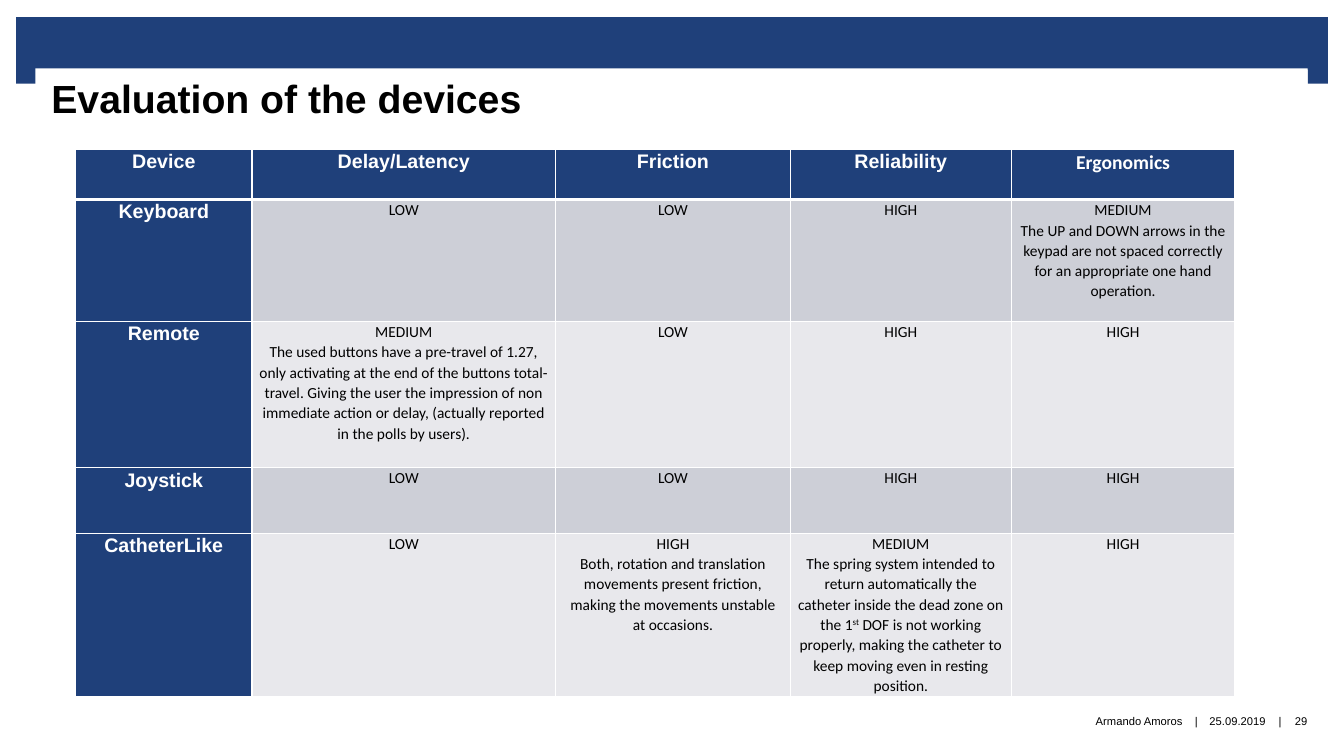
"""Build the slide that compares the input devices in a table."""
from lxml.etree import SubElement
from pptx import Presentation
from pptx.dml.color import RGBColor
from pptx.enum.shapes import MSO_SHAPE as Shape
from pptx.enum.text import MSO_ANCHOR as Anchor, PP_ALIGN as Align
from pptx.oxml.ns import qn
from pptx.util import Pt

PX = 9144
NAVY = RGBColor(0x1F, 0x40, 0x7A)
WHITE = RGBColor(0xFF, 0xFF, 0xFF)
BLACK = RGBColor(0, 0, 0)
BANDS = RGBColor(0xE8, 0xE8, 0xEC), RGBColor(0xCD, 0xCF, 0xD7)


def add_run(paragraph, text, size, font, color, bold=False):
    run = paragraph.add_run()
    run.text = text
    run.font.size, run.font.name = Pt(size), font
    run.font.color.rgb, run.font.bold = color, bold
    return run


def add_text(box, text, size, align, anchor, insets=(0, 0, 0, 0), bold=False):
    label = slide.shapes.add_textbox(*(n * PX for n in box))
    frame = label.text_frame
    frame.word_wrap, frame.vertical_anchor = True, anchor
    (frame.margin_left, frame.margin_top,
     frame.margin_right, frame.margin_bottom) = (n * PX for n in insets)
    frame.paragraphs[0].alignment = align
    add_run(frame.paragraphs[0], text, size, "Arial", BLACK, bold)
    return label


prs = Presentation()
prs.slide_width, prs.slide_height = 1333 * PX, 750 * PX
slide = prs.slides.add_slide(prs.slide_layouts[6])

for box in ((16, 17, 1301, 52), (16, 65, 20, 18), (1297, 65, 20, 18)):
    banner = slide.shapes.add_shape(Shape.RECTANGLE, *(n * PX for n in box))
    banner.shadow.inherit = False
    banner.fill.solid()
    banner.fill.fore_color.rgb = NAVY
    banner.line.fill.background()

title = add_text((35, 68, 1262, 106), "Evaluation of the devices", 28,
                 Align.LEFT, Anchor.TOP, (16, 6, 16, 0), True)
title.fill.solid()
title.fill.fore_color.rgb = WHITE

for left, width, text, align in (
    (666, 507, "Armando Amoros", Align.RIGHT),
    (1179, 15, "|", Align.CENTER),
    (1194, 67, "25.09.2019", Align.CENTER),
    (1262, 15, "|", Align.CENTER),
    (1271, 39, "29", Align.CENTER),
):
    add_text((left, 690, width, 50), text, 8, align, Anchor.MIDDLE)

KEYPAD = ("The UP and DOWN arrows in the keypad are not spaced correctly "
          "for an appropriate one hand operation.")
BUTTONS = ("The used buttons have a pre-travel of 1.27, only activating at the "
           "end of the buttons total-travel. Giving the user the impression of "
           "non immediate action or delay, (actually reported in the polls by "
           "users).")
MOVEMENT = ("Both, rotation and translation movements present friction, "
            "making the movements unstable at occasions.")
SPRING = ("The spring system intended to return automatically the catheter "
          "inside the dead zone on the 1^st^ DOF is not working properly, "
          "making the catheter to keep moving even in resting position.")
ratings = [
    ["Device", "Delay/Latency", "Friction", "Reliability", "Ergonomics"],
    ["Keyboard", "LOW", "LOW", "HIGH", "MEDIUM\n" + KEYPAD],
    ["Remote", "MEDIUM\n" + BUTTONS, "LOW", "HIGH", "HIGH"],
    ["Joystick", "LOW", "LOW", "HIGH", "HIGH"],
    ["CatheterLike", "LOW", "HIGH\n" + MOVEMENT, "MEDIUM\n" + SPRING, "HIGH"],
]
col_widths = [175, 301, 233, 219, 222]
row_heights = [50, 121, 145, 65, 162]
table = slide.shapes.add_table(
    len(row_heights), len(col_widths), 75 * PX, 148 * PX,
    sum(col_widths) * PX, sum(row_heights) * PX).table
table.horz_banding = False
for column, width in zip(table.columns, col_widths):
    column.width = width * PX
for row, height in zip(table.rows, row_heights):
    row.height = height * PX

for r, row_texts in enumerate(ratings):
    for c, cell_text in enumerate(row_texts):
        cell = table.cell(r, c)
        is_heading = r == 0 or c == 0
        cell.margin_left = cell.margin_right = 7 * PX
        cell.margin_top = cell.margin_bottom = 0

        for side in ("lnL", "lnR", "lnT", "lnB"):
            under_header = (r, side) in ((0, "lnB"), (1, "lnT"))
            border = SubElement(cell._tc.get_or_add_tcPr(), qn("a:" + side),
                                w=str(Pt(3 if under_header else 1)))
            stroke = SubElement(border, qn("a:solidFill"))
            SubElement(stroke, qn("a:srgbClr"), val=str(WHITE))
        cell.fill.solid()
        cell.fill.fore_color.rgb = NAVY if is_heading else BANDS[r % 2]

        for i, line in enumerate(cell_text.split("\n")):
            frame = cell.text_frame
            paragraph = frame.add_paragraph() if i else frame.paragraphs[0]
            paragraph.alignment = Align.CENTER
            paragraph.line_spacing = 1.07
            for part, text in enumerate(line.split("^")):
                if is_heading:
                    font = "Calibri" if text == "Ergonomics" else "Arial"
                    run = add_run(paragraph, text, 14, font, WHITE, True)
                else:
                    run = add_run(paragraph, text, 11, "Calibri", BLACK)
                if part % 2:
                    run.font._element.set("baseline", "30000")

prs.save("out.pptx")
